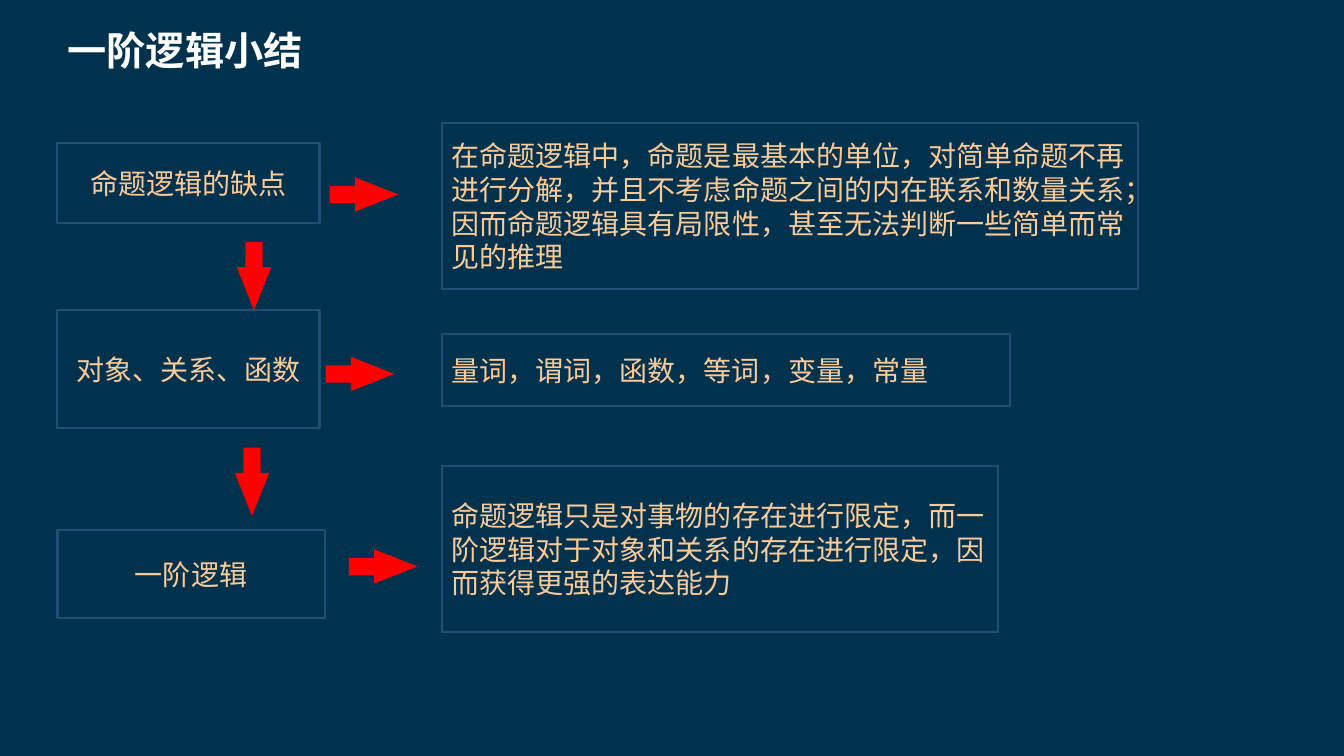
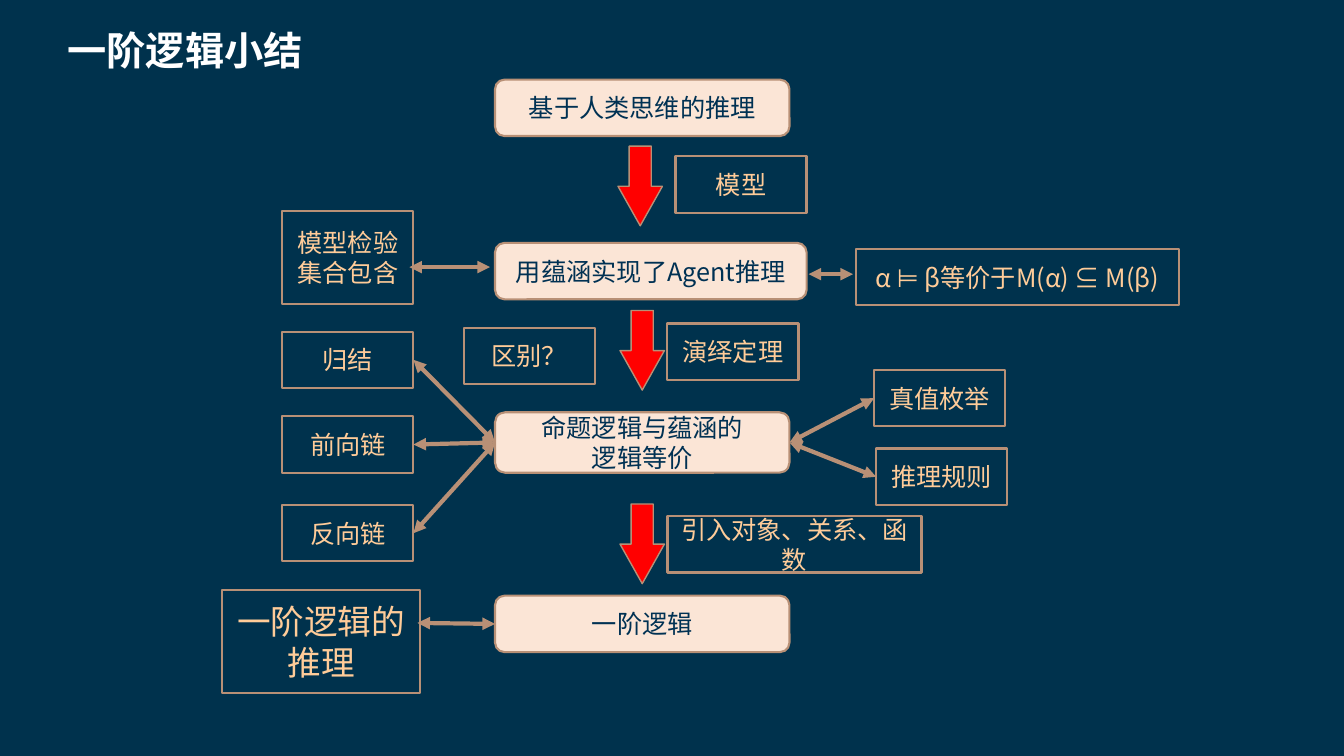
from dataclasses import dataclass
from typing import NamedTuple, Optional, Union

import pptx
import pptx.dml.color
import pptx.enum.shapes
import pptx.enum.text
import pptx.oxml
import pptx.oxml.ns
import pptx.presentation
import pptx.shapes.autoshape
import pptx.shapes.connector
import pptx.slide
import pptx.text.text
import pptx.util
from lxml import etree

Inches = pptx.util.Inches
Shape = pptx.enum.shapes.MSO_SHAPE
Align = pptx.enum.text.PP_ALIGN
Anchor = pptx.enum.text.MSO_ANCHOR
qn = pptx.oxml.ns.qn

LEFT, RIGHT = 1, 3


@dataclass(frozen=True)
class Theme:
    font: str = "Noto Sans CJK SC"
    back: str = "00324D"
    white: str = "FFFFFF"
    sand: str = "FFCC99"
    navy: str = "003153"
    cream: str = "FBE5D6"
    tan: str = "B89076"
    blue: str = "1F4E79"
    red: str = "FF0000"
    title: float = 28
    large: float = 24
    text: float = 20
    small: float = 18
    edge: float = 1.5
    link: float = 3


THEME = Theme()


@dataclass(frozen=True)
class Look:
    edge: str
    size: float
    ink: str = THEME.sand
    fill: Optional[str] = None
    form: Shape = Shape.RECTANGLE
    align: Align = Align.CENTER


TOPIC = Look(THEME.blue, THEME.text)
DETAIL = Look(THEME.blue, THEME.text, align=Align.LEFT)
STEP = Look(THEME.tan, THEME.small, THEME.navy, THEME.cream, Shape.ROUNDED_RECTANGLE)
NOTE = Look(THEME.tan, THEME.small)
LARGE = Look(THEME.tan, THEME.large)


class Box(NamedTuple):
    text: str
    x: float
    y: float
    w: float
    h: float
    look: Look


class Arrow(NamedTuple):
    x: float
    y: float
    w: float
    h: float
    tip: float
    edge: Optional[str] = None


class Spot(NamedTuple):
    x: float
    y: float


class Joint(NamedTuple):
    text: str
    side: int


class Link(NamedTuple):
    start: Union[Spot, Joint]
    end: Union[Spot, Joint]


Shapes = dict[str, pptx.shapes.autoshape.Shape]


def color(code: str) -> pptx.dml.color.RGBColor:
    return pptx.dml.color.RGBColor.from_string(code)


def style(frame: pptx.text.text.TextFrame, size: float, ink: str,
          align: Align, bold: bool = False) -> None:
    frame.word_wrap = True
    frame.vertical_anchor = Anchor.MIDDLE
    for para in frame.paragraphs:
        para.alignment = align
        for run in para.runs:
            font = run.font
            font.size = pptx.util.Pt(size)
            font.bold = bold
            font.color.rgb = color(ink)
            font.name = THEME.font
            east = etree.SubElement(run._r.get_or_add_rPr(), qn("a:ea"))
            east.set("typeface", THEME.font)


def paint(shape: pptx.shapes.autoshape.Shape, fill: Optional[str],
          edge: Optional[str], width: float) -> None:
    shape.shadow.inherit = False
    if fill:
        shape.fill.solid()
        shape.fill.fore_color.rgb = color(fill)
    else:
        shape.fill.background()
    if edge:
        shape.line.color.rgb = color(edge)
        shape.line.width = pptx.util.Pt(width)
    else:
        shape.line.fill.background()


def add_box(slide: pptx.slide.Slide, box: Box) -> pptx.shapes.autoshape.Shape:
    look = box.look
    shape = slide.shapes.add_shape(look.form, *map(Inches, box[1:5]))
    paint(shape, look.fill, look.edge, THEME.edge)
    shape.text_frame.text = box.text
    style(shape.text_frame, look.size, look.ink, look.align)
    return shape


def add_arrow(slide: pptx.slide.Slide, arrow: Arrow) -> None:
    """Draw a block arrow that points along its longer side."""
    form = Shape.RIGHT_ARROW if arrow.w > arrow.h else Shape.DOWN_ARROW
    shape = slide.shapes.add_shape(form, *map(Inches, arrow[:4]))
    shape.adjustments[0] = 0.5
    shape.adjustments[1] = arrow.tip
    paint(shape, THEME.red, arrow.edge, 1)


def add_link(slide: pptx.slide.Slide, link: Link, shapes: Shapes) -> None:
    """Draw a two-headed line, glued to a box at each Joint."""
    kind = pptx.enum.shapes.MSO_CONNECTOR.STRAIGHT
    line = slide.shapes.add_connector(kind, 0, 0, 0, 0)
    start, end = link
    if isinstance(start, Joint):
        line.begin_connect(shapes[start.text], start.side)
    else:
        line.begin_x, line.begin_y = map(Inches, start)
    if isinstance(end, Joint):
        line.end_connect(shapes[end.text], end.side)
    else:
        line.end_x, line.end_y = map(Inches, end)
    line.line.color.rgb = color(THEME.tan)
    line.line.width = pptx.util.Pt(THEME.link)
    stroke = line.line._get_or_add_ln()
    for tag in ("a:headEnd", "a:tailEnd"):
        etree.SubElement(stroke, qn(tag)).set("type", "triangle")
    etree.SubElement(line._element.spPr, qn("a:effectLst"))


def set_base(deck: pptx.presentation.Presentation) -> pptx.slide.SlideLayout:
    """Give the master its background and the layout its title place."""
    deck.slide_width, deck.slide_height = Inches(13.33), Inches(7.5)
    fill = deck.slide_master.background.fill
    fill.solid()
    fill.fore_color.rgb = color(THEME.back)
    layout = deck.slide_layouts.get_by_name("Title Only")
    head = layout.placeholders[0]
    head.left, head.top = Inches(0.57), Inches(0.15)
    head.width, head.height = Inches(12.31), Inches(0.64)
    return layout


def add_slide(deck: pptx.presentation.Presentation, layout: pptx.slide.SlideLayout,
              boxes: list[Box], arrows: list[Arrow], links: list[Link]) -> None:
    slide = deck.slides.add_slide(layout)
    frame = slide.shapes.title.text_frame
    frame.text = "一阶逻辑小结"
    frame.auto_size = pptx.enum.text.MSO_AUTO_SIZE.NONE
    frame.paragraphs[0].line_spacing = 1.1
    style(frame, THEME.title, THEME.white, Align.LEFT, bold=True)
    shapes = {box.text: add_box(slide, box) for box in boxes}
    for arrow in arrows:
        add_arrow(slide, arrow)
    for link in links:
        add_link(slide, link, shapes)


TOPICS = [
    Box("命题逻辑的缺点", 0.57, 1.42, 2.6, 0.79, TOPIC),
    Box("对象、关系、函数", 0.57, 3.08, 2.6, 1.17, TOPIC),
    Box("一阶逻辑", 0.57, 5.26, 2.65, 0.87, TOPIC),
    Box("在命题逻辑中，命题是最基本的单位，对简单命题不再进行分解，"
        "并且不考虑命题之间的内在联系和数量关系；因而命题逻辑具有局限性，"
        "甚至无法判断一些简单而常见的推理", 4.38, 1.22, 6.91, 1.65, DETAIL),
    Box("量词，谓词，函数，等词，变量，常量", 4.38, 3.31, 5.64, 0.72, DETAIL),
    Box("命题逻辑只是对事物的存在进行限定，而一阶逻辑对于对象和关系的存在"
        "进行限定，因而获得更强的表达能力", 4.38, 4.62, 5.52, 1.65, DETAIL),
]
TURNS = [
    *(Arrow(x, y, 0.68, 0.34, 1.26) for x, y in ((3.27, 1.76), (3.23, 3.54), (3.46, 5.45))),
    *(Arrow(x, y, 0.34, 0.68, 1.26) for x, y in ((2.35, 2.4), (2.33, 4.44))),
]

AGENT = "用蕴涵实现了Agent推理"
EQUAL = "命题逻辑与蕴涵的\n逻辑等价"
FIRST = "一阶逻辑"
CHAINS = {"归结": 3.29, "前向链": 4.13, "反向链": 5.01}
RULES = {"真值枚举": (8.67, 3.67), "推理规则": (8.69, 4.45)}
LABELS = {"模型": (6.7, 1.55), "演绎定理": (6.62, 3.21), "区别？": (4.6, 3.25), **RULES}

STEPS = [
    Box("基于人类思维的推理", 4.91, 0.79, 2.92, 0.56, STEP),
    Box(AGENT, 4.91, 2.41, 3.09, 0.56, STEP),
    Box(EQUAL, 4.91, 4.09, 2.92, 0.6, STEP),
    Box(FIRST, 4.91, 5.91, 2.92, 0.56, STEP),
    Box("模型检验\n集合包含", 2.8, 2.09, 1.3, 0.93, NOTE),
    Box("α ⊨ β等价于M(α) ⊆ M(β)", 8.49, 2.47, 3.2, 0.56, NOTE),
    Box("引入对象、关系、函数", 6.62, 5.12, 2.52, 0.56, NOTE),
    Box("一阶逻辑的推理", 2.2, 5.85, 1.97, 1.03, LARGE),
    *(Box(text, 2.8, y, 1.3, 0.56, NOTE) for text, y in CHAINS.items()),
    *(Box(text, x, y, 1.3, 0.56, NOTE) for text, (x, y) in LABELS.items()),
]
DROPS = [Arrow(x, y, 0.44, 0.79, 0.89, THEME.tan)
         for x, y in ((6.13, 1.45), (6.15, 3.08), (6.15, 5))]
LINKS = [
    Link(Spot(4.86, 2.65), Spot(4.06, 2.65)),
    Link(Spot(8.46, 2.72), Spot(8.02, 2.72)),
    Link(Spot(4.14, 6.18), Joint(FIRST, LEFT)),
    *(Link(Joint(text, RIGHT), Joint(EQUAL, LEFT)) for text in CHAINS),
    *(Link(Joint(text, LEFT), Joint(EQUAL, RIGHT)) for text in RULES),
]


def main() -> None:
    deck = pptx.Presentation()
    layout = set_base(deck)
    add_slide(deck, layout, TOPICS, TURNS, [])
    add_slide(deck, layout, STEPS, DROPS, LINKS)
    deck.save("out.pptx")


if __name__ == "__main__":
    main()
